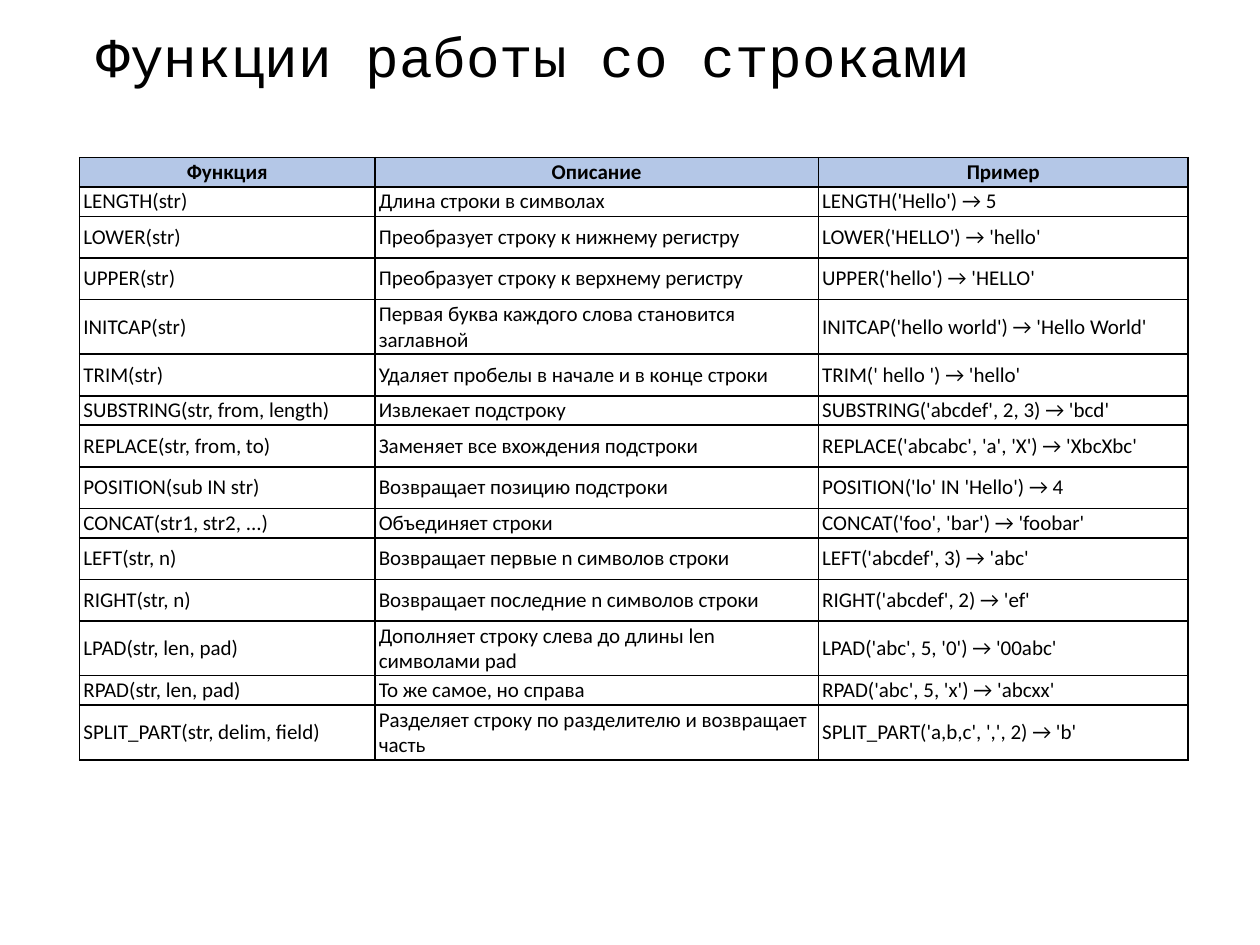
from dataclasses import dataclass

from lxml.etree import SubElement
from pptx import Presentation
from pptx.dml.color import RGBColor
from pptx.enum.text import MSO_ANCHOR, PP_ALIGN
from pptx.oxml.ns import qn
from pptx.slide import Slide
from pptx.table import _Cell
from pptx.util import Pt


@dataclass(frozen=True)
class Theme:
    ink: RGBColor = RGBColor(0x00, 0x00, 0x00)
    header_fill: RGBColor = RGBColor(0xB4, 0xC7, 0xE7)
    title_font: str = "Courier New"
    table_font: str = "Calibri"
    title_size: Pt = Pt(32)
    table_size: Pt = Pt(12)
    border_width: Pt = Pt(1)


@dataclass(frozen=True)
class StringFunction:
    signature: str
    description: str
    example: str
    height: Pt


THEME = Theme()
HEADER, COMPACT, REGULAR, TALL = Pt(9.5), Pt(16.6), Pt(23.8), Pt(31)
COLUMN_WIDTHS = (Pt(168.8), Pt(253.4), Pt(211.3))

ROWS = (
    StringFunction("Функция", "Описание", "Пример", HEADER),
    StringFunction("LENGTH(str)", "Длина строки в символах",
                   "LENGTH('Hello') → 5", COMPACT),
    StringFunction("LOWER(str)", "Преобразует строку к нижнему регистру",
                   "LOWER('HELLO') → 'hello'", REGULAR),
    StringFunction("UPPER(str)", "Преобразует строку к верхнему регистру",
                   "UPPER('hello') → 'HELLO'", REGULAR),
    StringFunction("INITCAP(str)", "Первая буква каждого слова становится заглавной",
                   "INITCAP('hello world') → 'Hello World'", TALL),
    StringFunction("TRIM(str)", "Удаляет пробелы в начале и в конце строки",
                   "TRIM(' hello ') → 'hello'", REGULAR),
    StringFunction("SUBSTRING(str, from, length)", "Извлекает подстроку",
                   "SUBSTRING('abcdef', 2, 3) → 'bcd'", COMPACT),
    StringFunction("REPLACE(str, from, to)", "Заменяет все вхождения подстроки",
                   "REPLACE('abcabc', 'a', 'X') → 'XbcXbc'", REGULAR),
    StringFunction("POSITION(sub IN str)", "Возвращает позицию подстроки",
                   "POSITION('lo' IN 'Hello') → 4", REGULAR),
    StringFunction("CONCAT(str1, str2, ...)", "Объединяет строки",
                   "CONCAT('foo', 'bar') → 'foobar'", COMPACT),
    StringFunction("LEFT(str, n)", "Возвращает первые n символов строки",
                   "LEFT('abcdef', 3) → 'abc'", REGULAR),
    StringFunction("RIGHT(str, n)", "Возвращает последние n символов строки",
                   "RIGHT('abcdef', 2) → 'ef'", REGULAR),
    StringFunction("LPAD(str, len, pad)",
                   "Дополняет строку слева до длины len символами pad",
                   "LPAD('abc', 5, '0') → '00abc'", REGULAR),
    StringFunction("RPAD(str, len, pad)", "То же самое, но справа",
                   "RPAD('abc', 5, 'x') → 'abcxx'", COMPACT),
    StringFunction("SPLIT_PART(str, delim, field)",
                   "Разделяет строку по разделителю и возвращает часть",
                   "SPLIT_PART('a,b,c', ',', 2) → 'b'", REGULAR),
)


def add_title(slide: Slide, wording: str) -> None:
    title = slide.shapes.add_textbox(Pt(48.2), Pt(9.4), Pt(620.6), Pt(49))
    frame = title.text_frame
    frame.word_wrap = True
    frame.vertical_anchor = MSO_ANCHOR.MIDDLE
    frame.text = wording
    paragraph = frame.paragraphs[0]
    paragraph.line_spacing = 0.9
    font = paragraph.runs[0].font
    font.name, font.size = THEME.title_font, THEME.title_size
    font.color.rgb = THEME.ink


def add_borders(cell: _Cell) -> None:
    """Outline the cell; borders must precede the fill in its properties."""
    properties = cell._tc.get_or_add_tcPr()
    for side in ("a:lnL", "a:lnR", "a:lnT", "a:lnB"):
        line = SubElement(properties, qn(side), w=str(THEME.border_width))
        fill = SubElement(line, qn("a:solidFill"))
        SubElement(fill, qn("a:srgbClr"), val=str(THEME.ink))


def fill_cell(cell: _Cell, wording: str, is_header: bool) -> None:
    add_borders(cell)
    if is_header:
        cell.fill.solid()
        cell.fill.fore_color.rgb = THEME.header_fill
    else:
        cell.fill.background()
    cell.margin_left = cell.margin_right = Pt(2.2)
    cell.margin_top = cell.margin_bottom = Pt(1.2)
    cell.vertical_anchor = MSO_ANCHOR.MIDDLE
    cell.text_frame.text = wording
    paragraph = cell.text_frame.paragraphs[0]
    paragraph.alignment = PP_ALIGN.CENTER if is_header else PP_ALIGN.LEFT
    font = paragraph.runs[0].font
    font.name, font.size, font.bold = THEME.table_font, THEME.table_size, is_header
    font.color.rgb = THEME.ink


def add_function_table(slide: Slide, functions: tuple[StringFunction, ...]) -> None:
    table = slide.shapes.add_table(
        len(functions), len(COLUMN_WIDTHS), Pt(45.5), Pt(90),
        sum(COLUMN_WIDTHS), sum(function.height for function in functions),
    ).table
    table.horz_banding = False
    for column, width in zip(table.columns, COLUMN_WIDTHS):
        column.width = width
    for index, (row, function) in enumerate(zip(table.rows, functions)):
        row.height = function.height
        wordings = (function.signature, function.description, function.example)
        for cell, wording in zip(row.cells, wordings):
            fill_cell(cell, wording, is_header=index == 0)


def main() -> None:
    presentation = Presentation()
    presentation.slide_width, presentation.slide_height = Pt(720), Pt(540)
    slide = presentation.slides.add_slide(presentation.slide_layouts[6])
    add_title(slide, "Функции работы со строками")
    add_function_table(slide, ROWS)
    presentation.save("out.pptx")


if __name__ == "__main__":
    main()
